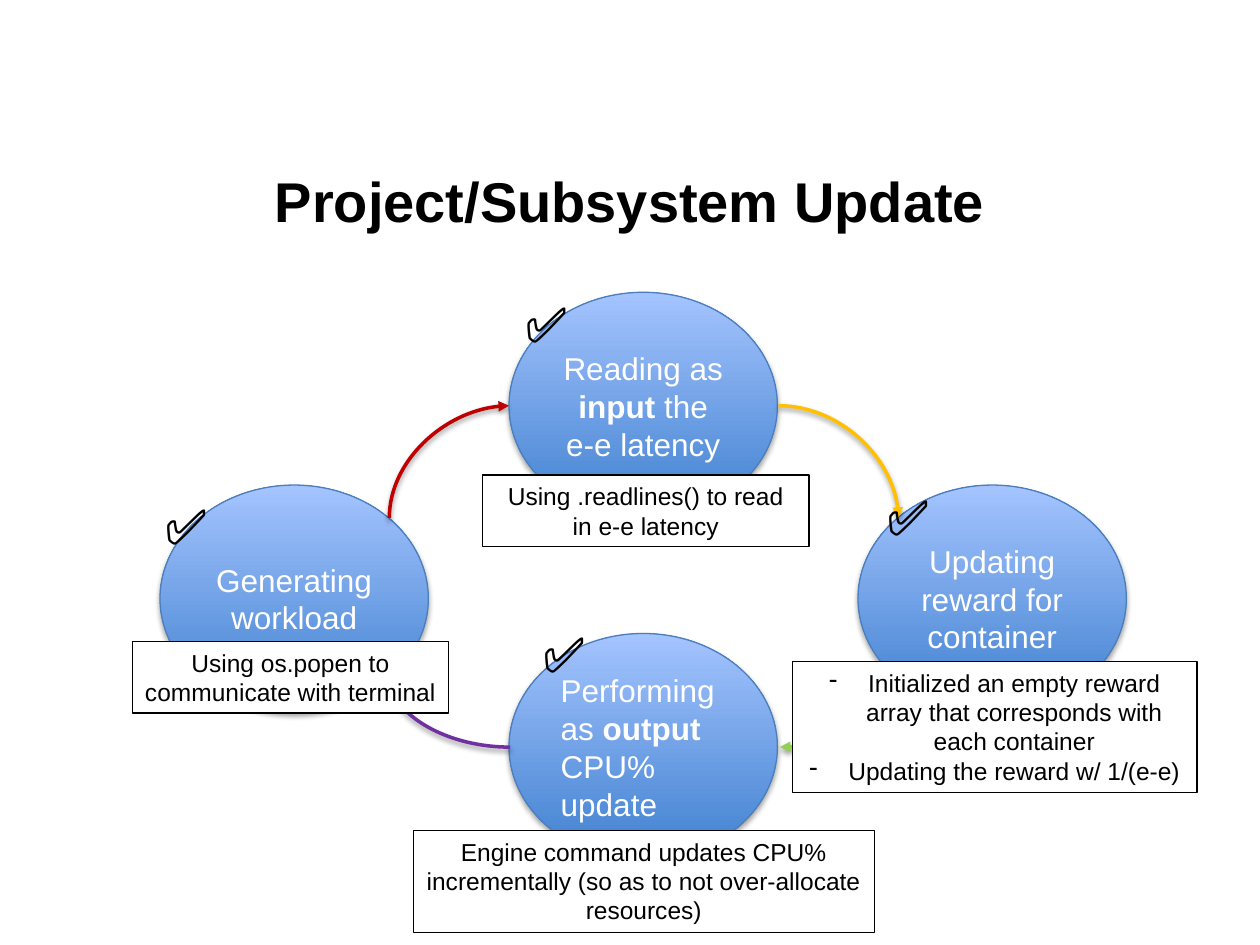
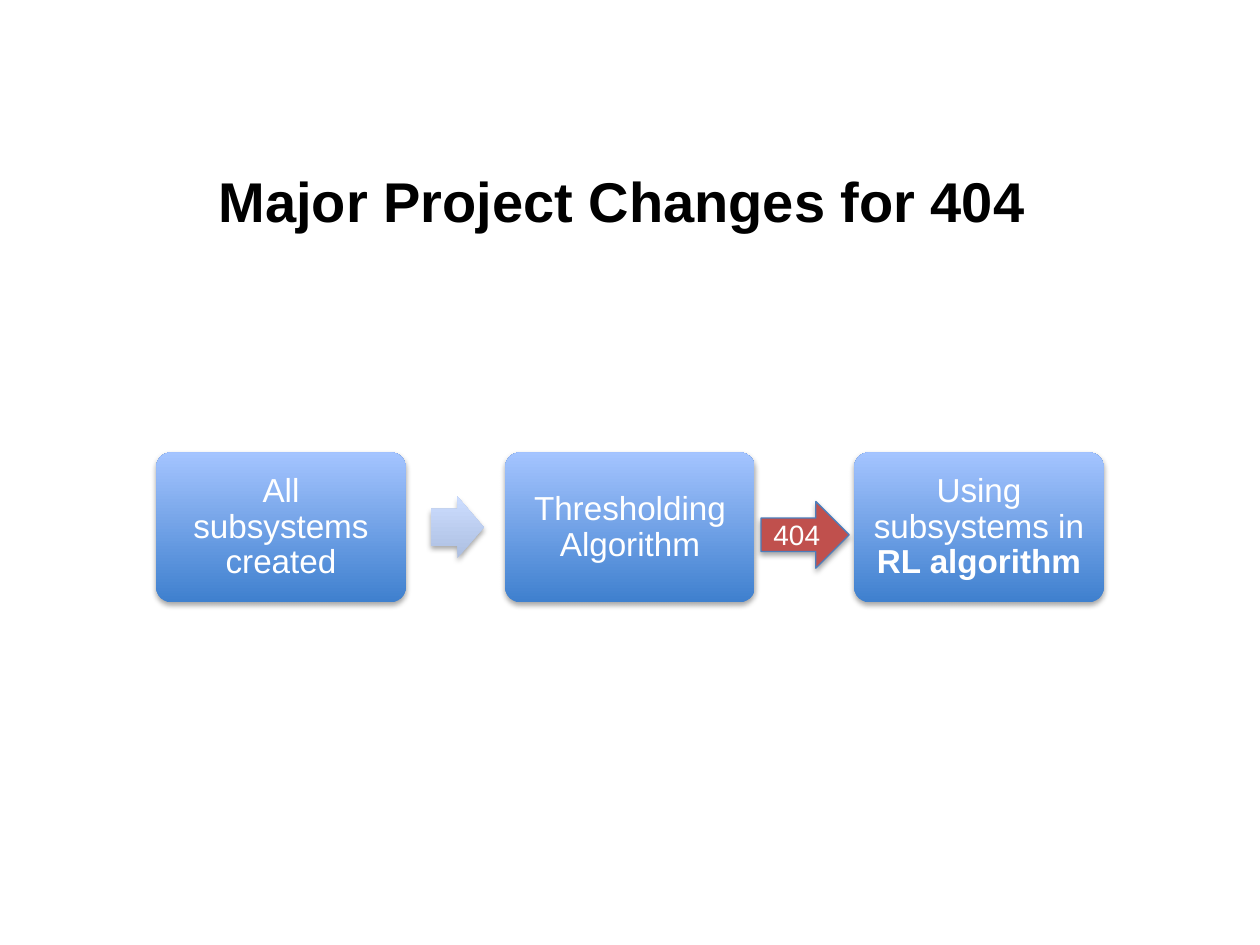
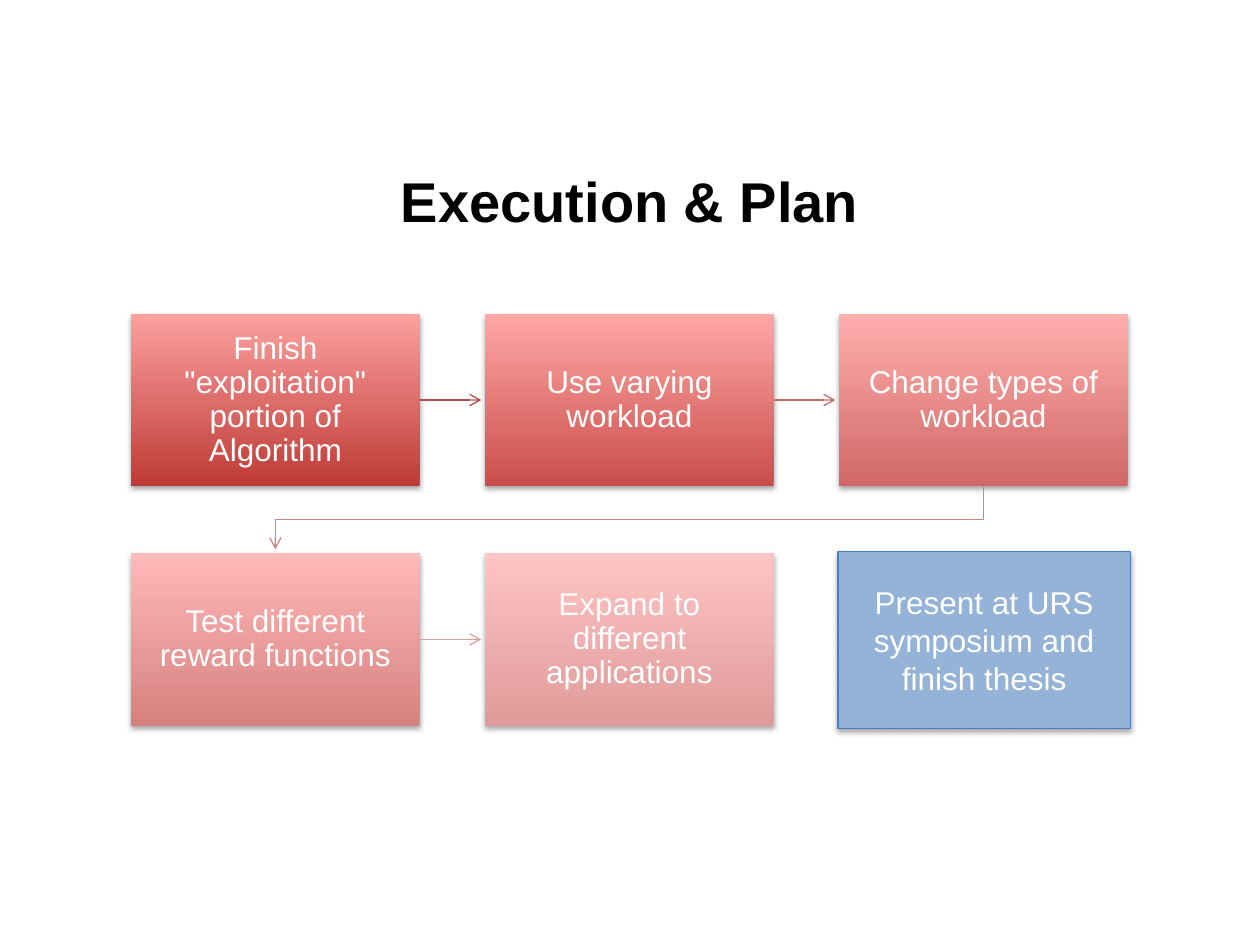
import dataclasses

import pptx
import pptx.dml.color
import pptx.enum.shapes
import pptx.enum.text
import pptx.oxml.ns
import pptx.util
from lxml import etree

SHAPE = pptx.enum.shapes.MSO_SHAPE
CONNECTOR = pptx.enum.shapes.MSO_CONNECTOR
CENTER = pptx.enum.text.PP_ALIGN.CENTER
LEFT = pptx.enum.text.PP_ALIGN.LEFT
MIDDLE = pptx.enum.text.MSO_ANCHOR.MIDDLE
TOP = pptx.enum.text.MSO_ANCHOR.TOP


@dataclasses.dataclass(frozen=True)
class Theme:
    font: str = "Arial"
    symbol_font: str = "Roboto"
    black: str = "000000"
    white: str = "FFFFFF"
    outline: str = "4B7EBC"
    blue: tuple = ("3F80CE", "A4C4FF")
    pale_blue: tuple = ("ADBFE1", "CCDDFF")
    flat_blue: str = "95B3D7"
    accent: str = "C0504D"
    title: int = 32
    symbol: int = 28
    step: int = 19
    body: int = 18
    label: int = 16
    caption: int = 14
    thin: float = 0.75
    thick: float = 2
    shape_shadow: int = 35
    line_shadow: int = 38


THEME = Theme()


@dataclasses.dataclass(frozen=True)
class Grid:
    """Equal cells, in inches, counted from the left top one."""
    left: float
    top: float
    column_step: float
    row_step: float
    width: float
    height: float

    def cell(self, column, row=0):
        return (self.left + column * self.column_step,
                self.top + row * self.row_step, self.width, self.height)


CYCLE = Grid(1.27, 2.32, 2.77, 1.53, 2.13, 1.8)
STEPS = Grid(1.24, 3.59, 2.77, 0, 1.98, 1.19)
PLAN = Grid(1.04, 2.49, 2.81, 1.9, 2.29, 1.37)
ARROW_GAP = 0.03


def inches(*lengths):
    return [pptx.util.Inches(length) for length in lengths]


def rgb(code):
    return pptx.dml.color.RGBColor.from_string(code)


def add_xml(parent, tag, **attributes):
    return etree.SubElement(parent, pptx.oxml.ns.qn(tag), attributes)


def set_shadow(shape, opacity=0):
    """Replace the inherited shadow by a soft one below, or by none."""
    properties = shape._element.spPr
    effects = add_xml(properties, "a:effectLst")
    if opacity:
        shadow = add_xml(effects, "a:outerShdw", blurRad="40000", dist="23000",
                         dir="5400000", rotWithShape="0")
        color = add_xml(shadow, "a:srgbClr", val=THEME.black)
        add_xml(color, "a:alpha", val=str(opacity * 1000))


def set_line(shape, color, width=THEME.thin, head=None, tail=None):
    shape.line.color.rgb = rgb(color)
    shape.line.width = pptx.util.Pt(width)
    line = shape.line._get_or_add_ln()
    if head:
        add_xml(line, "a:headEnd", type=head)
    if tail:
        add_xml(line, "a:tailEnd", type=tail)


def set_fill(shape, fill):
    """Fill with one colour, or fade up from the first of two colours."""
    if isinstance(fill, str):
        shape.fill.solid()
        shape.fill.fore_color.rgb = rgb(fill)
        return
    shape.fill.gradient()
    shape.fill.gradient_angle = 90
    for stop, color in zip(shape.fill.gradient_stops, fill):
        stop.color.rgb = rgb(color)


def write(shape, paragraphs, size, color=THEME.white, align=CENTER, anchor=MIDDLE,
          font=THEME.font, bold=False, spacing=None, inset=None, dashes=False):
    """Write the paragraphs; words between asterisks are bold."""
    frame = shape.text_frame
    frame.word_wrap = True
    frame.vertical_anchor = anchor
    if inset is not None:
        frame.margin_left = frame.margin_right = pptx.util.Inches(inset)
        frame.margin_top = frame.margin_bottom = pptx.util.Inches(inset)
    for index, text in enumerate(paragraphs):
        para = frame.add_paragraph() if index else frame.paragraphs[0]
        para.alignment = align
        para.line_spacing = spacing
        if dashes:
            indent = pptx.util.Inches(0.31)
            properties = para._p.get_or_add_pPr()
            properties.set("marL", str(indent))
            properties.set("indent", str(-indent))
            add_xml(properties, "a:buChar", char="-")
        for position, words in enumerate(text.split("*")):
            if not words:
                continue
            span = para.add_run()
            span.text = words
            span.font.name = font
            span.font.size = pptx.util.Pt(size)
            span.font.bold = bold or position % 2 == 1
            span.font.color.rgb = rgb(color)


def add_title(page, text):
    box = page.shapes.add_textbox(*inches(0.5, 1.15, 9, 0.88))
    write(box, [text], THEME.title, THEME.black, bold=True)


def add_block(page, kind, place, fill, outline=None, shadow=THEME.shape_shadow):
    block = page.shapes.add_shape(kind, *inches(*place))
    set_fill(block, fill)
    if outline:
        set_line(block, outline)
    else:
        block.line.fill.background()
    set_shadow(block, shadow)
    return block


def add_caption(page, place, paragraphs):
    box = add_block(page, SHAPE.RECTANGLE, place, THEME.white, THEME.black, shadow=0)
    write(box, paragraphs, THEME.caption, THEME.black, anchor=TOP,
          dashes=len(paragraphs) > 1)


def add_check(page, left, top):
    box = page.shapes.add_textbox(*inches(left, top, 0.76, 0.57))
    write(box, ["✅"], THEME.symbol, THEME.black, LEFT, TOP, THEME.symbol_font)


def add_curve(page, start, end, color, head=None, tail=None):
    """Quarter curve that leaves start sideways and meets end upright."""
    curve = page.shapes.add_connector(CONNECTOR.CURVE, *inches(*start, *end))
    geometry = curve._element.spPr.find(pptx.oxml.ns.qn("a:prstGeom"))
    geometry.set("prst", "curvedConnector2")
    set_line(curve, color, THEME.thick, head, tail)
    set_shadow(curve, THEME.line_shadow)


def add_step_arrow(page, box, end, color):
    arrow = page.shapes.add_connector(CONNECTOR.STRAIGHT, 0, 0, *inches(*end))
    arrow.begin_connect(box, 3)
    set_line(arrow, color, tail="arrow")
    set_shadow(arrow)


def add_return_arrow(page, points, color):
    first, *others = [inches(*point) for point in points]
    builder = page.shapes.build_freeform(*first)
    builder.add_line_segments(others, close=False)
    arrow = builder.convert_to_shape()
    arrow.fill.background()
    set_line(arrow, color, tail="arrow")
    set_shadow(arrow)


def build_update(page):
    add_title(page, "Project/Subsystem Update")
    stages = [
        (CYCLE.cell(1), "Reading as *input* the e-e latency", CENTER),
        (CYCLE.cell(2, 1), "Updating reward for container", CENTER),
        (CYCLE.cell(1, 1.77), "Performing as *output *CPU% update", LEFT),
        (CYCLE.cell(0, 1), "Generating workload", CENTER),
    ]
    for place, text, align in stages:
        stage = add_block(page, SHAPE.OVAL, place, THEME.blue, THEME.outline)
        write(stage, [text], THEME.body, align=align)

    left, right, upper, lower = 3.09, 7.13, 4.11, 5.38
    add_curve(page, (4.04, 3.22), (left, upper), "C00000", head="triangle")
    add_curve(page, (6.18, 3.22), (right, upper), "FFC000", tail="triangle")
    add_curve(page, (6.19, 5.93), (right, lower), "92D050", head="triangle")
    add_curve(page, (4.05, 5.93), (left, lower), "7030A0", tail="triangle")

    captions = [
        ((1.05, 5.09, 2.51, 0.57), ["Using os.popen to communicate with terminal"]),
        ((3.83, 3.77, 2.59, 0.57), ["Using .readlines() to read in e-e latency"]),
        ((6.29, 5.25, 3.21, 1.04),
         ["Initialized an empty reward array that corresponds with each container",
          "Updating the reward w/ 1/(e-e)"]),
        ((3.28, 6.59, 3.66, 0.81),
         ["Engine command updates CPU% incrementally "
          "(so as to not over-allocate resources)"]),
    ]
    for place, paragraphs in captions:
        add_caption(page, place, paragraphs)
    for corner in [(1.21, 3.88), (4.07, 2.28), (6.94, 3.81), (4.21, 4.9)]:
        add_check(page, *corner)


def build_changes(page):
    add_title(page, "Major Project Changes for 404 ")
    steps = ["All subsystems created", "Thresholding Algorithm",
             "Using subsystems in *RL algorithm*"]
    for column, text in enumerate(steps):
        step = add_block(page, SHAPE.ROUNDED_RECTANGLE, STEPS.cell(column), THEME.blue)
        step.adjustments[0] = 0.1
        write(step, [text], THEME.step, spacing=0.9, inset=0.08)

    arrow = add_block(page, SHAPE.RIGHT_ARROW, (3.42, 3.94, 0.42, 0.49),
                      THEME.pale_blue)
    arrow.adjustments[0] = 0.6
    course = add_block(page, SHAPE.RIGHT_ARROW, (6.04, 3.98, 0.7, 0.53),
                       THEME.accent, THEME.outline)
    write(course, ["404"], THEME.label)


def build_plan(page):
    add_title(page, "Execution & Plan")
    tasks = [
        ('Finish "exploitation" portion of Algorithm', ("BE3A36", "FDA19F"), "B74C4A"),
        ("Use varying workload", ("CA4E4B", "FFA7A5"), "C16967"),
        ("Change types of workload", ("D06866", "FFAFAE"), "CB8584"),
        ("Test different reward functions", ("D68180", "FFB9B8"), "D6A1A1"),
        ("Expand to different applications", ("DE9B9A", "FFC4C3"), None),
    ]
    for index, (text, fill, arrow_color) in enumerate(tasks):
        row, column = divmod(index, 3)
        left, top, width, height = PLAN.cell(column, row)
        task = add_block(page, SHAPE.RECTANGLE, (left, top, width, height), fill)
        write(task, [text], THEME.body, spacing=0.9, inset=0.14)
        if not arrow_color:
            continue
        if column < 2:
            end = (left + PLAN.column_step - ARROW_GAP, top + height / 2)
            add_step_arrow(page, task, end, arrow_color)
        else:
            start_x, end_x = left + width / 2, PLAN.left + width / 2
            bottom, next_top = top + height, top + PLAN.row_step
            middle = (bottom + next_top) / 2
            add_return_arrow(page, [(start_x, bottom), (start_x, middle),
                                    (end_x, middle), (end_x, next_top - ARROW_GAP)],
                             arrow_color)

    finish = add_block(page, SHAPE.RECTANGLE, (6.65, 4.38, 2.32, 1.4),
                       THEME.flat_blue, THEME.outline)
    write(finish, ["Present at URS symposium and finish thesis"], THEME.body)


def main():
    deck = pptx.Presentation()
    deck.slide_width, deck.slide_height = inches(10, 7.5)
    blank = deck.slide_layouts[6]
    for build in (build_update, build_changes, build_plan):
        build(deck.slides.add_slide(blank))
    deck.save("out.pptx")


if __name__ == "__main__":
    main()
